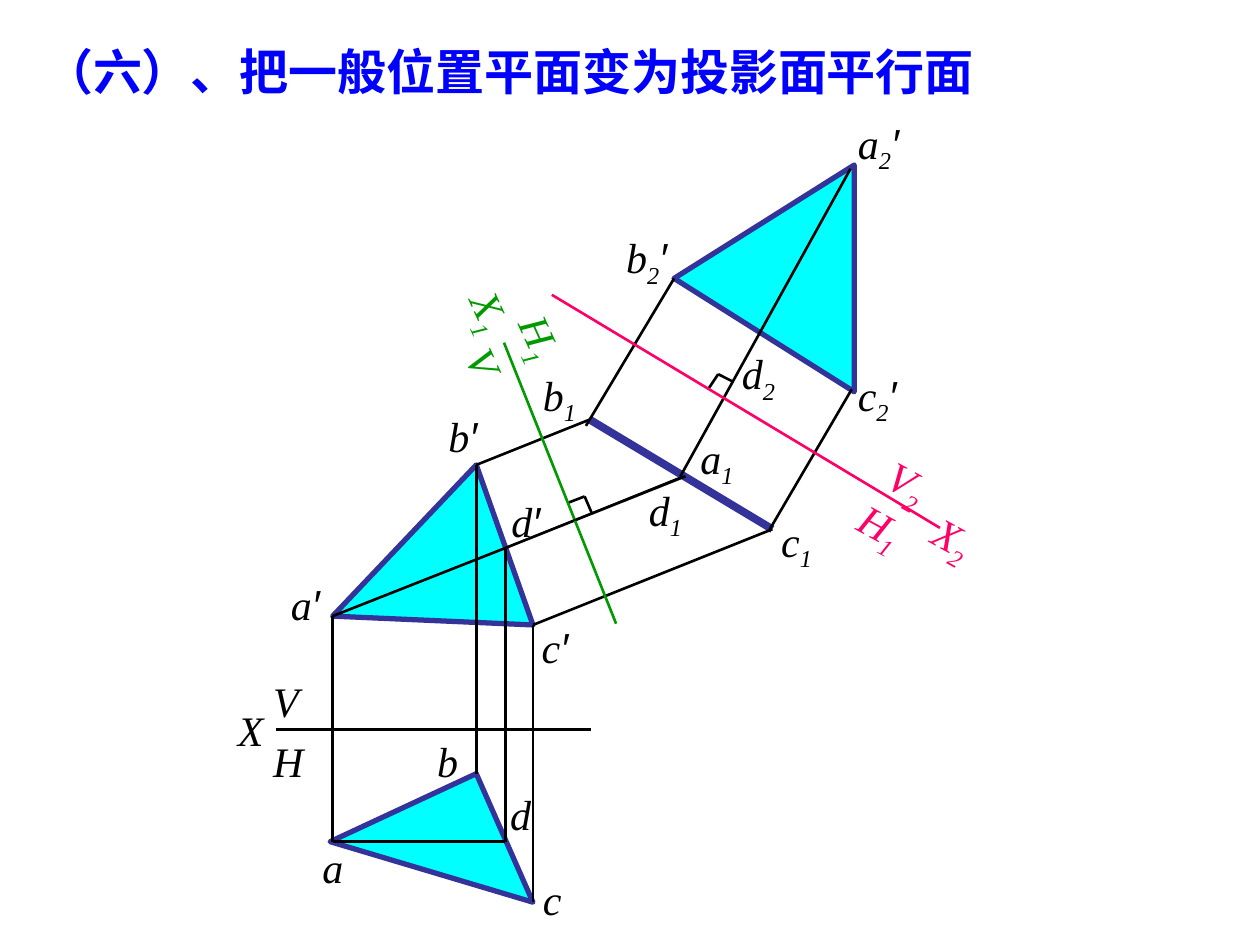
"""Build the slide on turning a general plane into one parallel to a projection plane."""
from dataclasses import dataclass

from lxml import etree
from pptx import Presentation
from pptx import util as u
from pptx.dml.color import RGBColor
from pptx.enum import shapes, text
from pptx.oxml import ns

BLACK = RGBColor(0x00, 0x00, 0x00)
NAVY = RGBColor(0x33, 0x33, 0x99)
CYAN = RGBColor(0x00, 0xFF, 0xFF)
GREEN = RGBColor(0x00, 0x99, 0x00)
PINK = RGBColor(0xFF, 0x00, 0x66)
BLUE = RGBColor(0x00, 0x00, 0xFF)

Point = tuple[float, float]

A_FRONT, B_FRONT, C_FRONT, D_FRONT = (2.64, 4.89), (3.78, 3.69), (4.23, 4.96), (4.01, 4.35)
A_TOP, B_TOP, C_TOP, D_TOP = (2.64, 6.68), (3.78, 6.14), (4.23, 7.16), (4.01, 6.68)
B_1, C_1, D_1 = (4.68, 3.33), (6.13, 4.2), (5.42, 3.78)
A_2, B_2, C_2 = (6.78, 1.31), (5.35, 2.21), (6.78, 3.11)


@dataclass
class Line:
    start: Point
    end: Point
    color: RGBColor = BLACK
    width: float = 1.5


@dataclass
class Label:
    left: float
    top: float
    width: float
    letter: str
    subscript: str = ""
    prime: str = ""
    color: RGBColor = BLACK
    rotation: float = 0


TRIANGLES = [
    (A_FRONT, C_FRONT, B_FRONT),
    ((2.62, 6.68), B_TOP, C_TOP),
    (A_2, B_2, C_2),
]

LINES = [
    Line(B_1, C_1, NAVY, 4.5),
    Line((2.19, 5.79), (4.69, 5.79)),
    Line(A_FRONT, A_TOP),
    Line(B_FRONT, B_TOP),
    Line(C_FRONT, C_TOP),
    Line(D_FRONT, D_TOP),
    Line(A_TOP, D_TOP),
    Line(D_FRONT, A_FRONT),
    Line(D_FRONT, (5.44, 3.78)),
    Line(B_FRONT, B_1),
    Line(C_FRONT, C_1),
    Line((4.51, 3.99), (4.64, 3.94)),
    Line((4.64, 3.94), (4.7, 4.08)),
    Line((4, 2.72), (4.89, 4.95), GREEN),
    Line(D_FRONT, D_1, width=1),
    Line((6.11, 4.2), (6.76, 3.09)),
    Line(B_2, (4.65, 3.38)),
    Line((5.4, 3.78), (6.75, 1.34)),
    Line((5.62, 3.09), (5.7, 2.97)),
    Line((5.7, 2.97), (5.82, 3.03)),
    Line((4.38, 2.34), (7.46, 4.19), PINK),
]

LABELS = [
    Label(2.21, 4.54, 0.99, "a", prime="′"),
    Label(4.2, 4.88, 0.61, "c", prime="′"),
    Label(1.79, 5.54, 0.89, "X"),
    Label(2.07, 5.31, 0.57, "V"),
    Label(2.07, 5.79, 0.57, "H"),
    Label(3.46, 3.21, 0.99, "b", prime="′"),
    Label(3.37, 5.79, 0.99, "b"),
    Label(2.46, 6.63, 0.5, "a"),
    Label(4.21, 6.88, 0.61, "c"),
    Label(3.96, 3.88, 0.61, "d", prime="′"),
    Label(3.95, 6.21, 0.61, "d"),
    Label(4.21, 2.88, 0.99, "b", "1", rotation=359.6),
    Label(5.46, 3.38, 0.83, "a", "1", rotation=359.6),
    Label(6.1, 4.04, 0.61, "c", "1", rotation=359.6),
    Label(5.05, 3.79, 0.83, "d", "1", rotation=359.6),
    Label(3.51, 2.38, 0.89, "X", "1", color=GREEN, rotation=65.6),
    Label(3.9, 2.57, 0.89, "H", "1", color=GREEN, rotation=65.6),
    Label(3.6, 2.7, 0.56, "V", color=GREEN, rotation=65.6),
    Label(6.71, 0.88, 0.99, "a", "2", "′"),
    Label(6.71, 2.88, 0.92, "c", "2", "′"),
    Label(4.87, 1.79, 0.99, "b", "2", "′"),
    Label(5.79, 2.71, 0.75, "d", "2"),
    Label(7.28, 4.1, 0.89, "X", "2", color=PINK, rotation=28.8),
    Label(6.92, 3.66, 0.89, "V", "2", color=PINK, rotation=28.8),
    Label(6.7, 3.96, 0.74, "H", "1", color=PINK, rotation=28.8),
]


def set_format(target, values: dict) -> None:
    for name, value in values.items():
        setattr(target, name, value)


def add_title(slide) -> None:
    title = slide.shapes.title
    set_format(title, dict(left=u.Inches(0.25), top=u.Inches(0.28),
                           width=u.Inches(7.94), height=u.Inches(0.57)))
    title.text_frame.text = "（六）、把一般位置平面变为投影面平行面"
    set_format(title.text_frame, dict(vertical_anchor=text.MSO_ANCHOR.TOP, word_wrap=True,
                                      auto_size=text.MSO_AUTO_SIZE.NONE))
    paragraph = title.text_frame.paragraphs[0]
    paragraph.alignment = text.PP_ALIGN.LEFT
    font = paragraph.runs[0].font
    set_format(font, dict(name="Arial", size=u.Pt(28), bold=True))
    font.color.rgb = BLUE


def add_triangle(slide, corners: tuple[Point, Point, Point]) -> None:
    points = [(u.Inches(x), u.Inches(y)) for x, y in corners]
    builder = slide.shapes.build_freeform(*points[0])
    builder.add_line_segments(points[1:], close=True)
    shape = builder.convert_to_shape()
    shape.shadow.inherit = False
    shape.fill.solid()
    shape.fill.fore_color.rgb = CYAN
    shape.line.color.rgb = NAVY
    shape.line.width = u.Pt(3)


def add_line(slide, line: Line) -> None:
    ends = [u.Inches(value) for value in (*line.start, *line.end)]
    connector = slide.shapes.add_connector(shapes.MSO_CONNECTOR.STRAIGHT, *ends)
    connector.line.color.rgb = line.color
    connector.line.width = u.Pt(line.width)
    etree.SubElement(connector._element.spPr, ns.qn("a:effectLst"))


def add_label(slide, label: Label) -> None:
    height = 0.56 if label.subscript else 0.5
    box = slide.shapes.add_textbox(*map(u.Inches, (label.left, label.top, label.width, height)))
    box.rotation = label.rotation
    set_format(box.text_frame, dict(word_wrap=True, auto_size=text.MSO_AUTO_SIZE.SHAPE_TO_FIT_TEXT))
    paragraph = box.text_frame.paragraphs[0]
    parts = [(label.letter, "Times New Roman", 0),
             (label.subscript, "Times New Roman", -25000),
             (label.prime, "Arial", 0)]
    for content, font_name, baseline in parts:
        if content:
            run = paragraph.add_run()
            run.text = content
            set_format(run.font, dict(name=font_name, size=u.Pt(24), italic=True))
            run.font.color.rgb = label.color
            run.font._element.set("baseline", str(baseline))


def main() -> None:
    presentation = Presentation()
    set_format(presentation, dict(slide_width=u.Inches(10), slide_height=u.Inches(7.5)))
    slide = presentation.slides.add_slide(presentation.slide_layouts[5])
    add_title(slide)
    for draw, items in ((add_triangle, TRIANGLES), (add_line, LINES), (add_label, LABELS)):
        for item in items:
            draw(slide, item)
    presentation.save("out.pptx")


if __name__ == "__main__":
    main()
